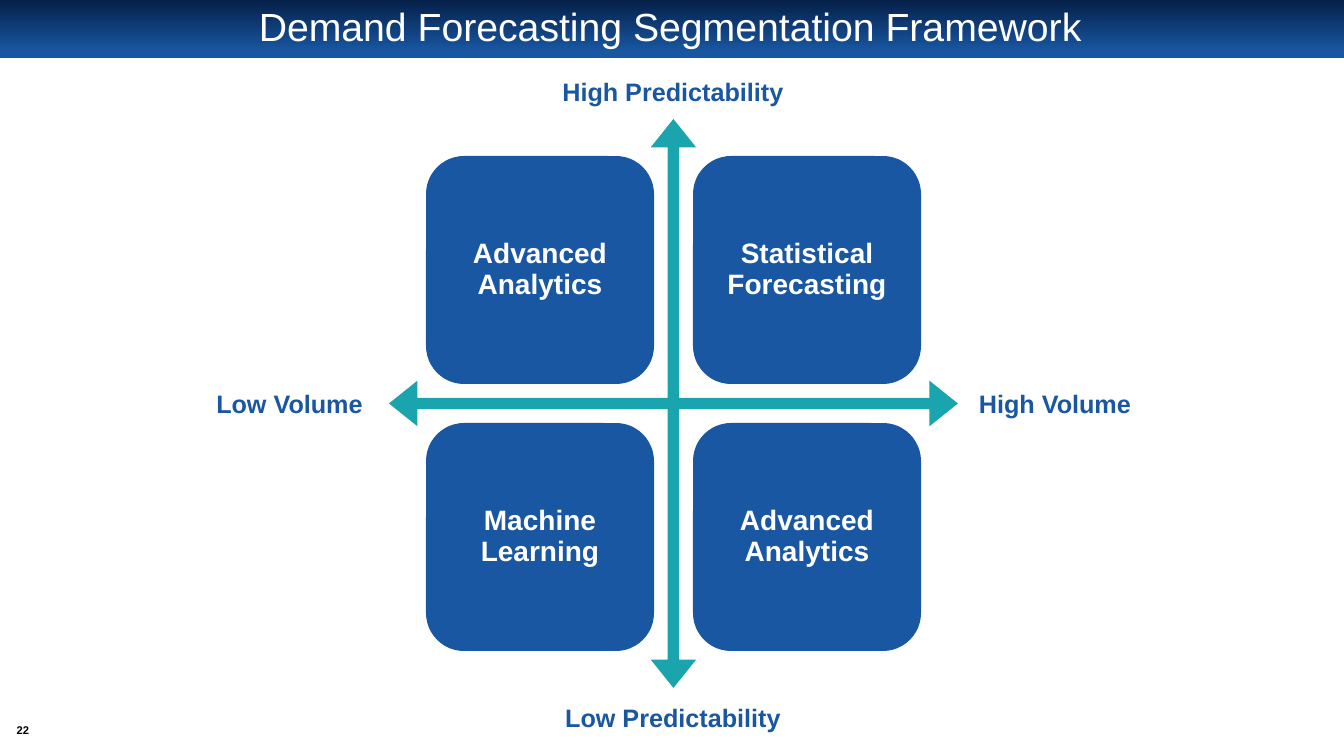
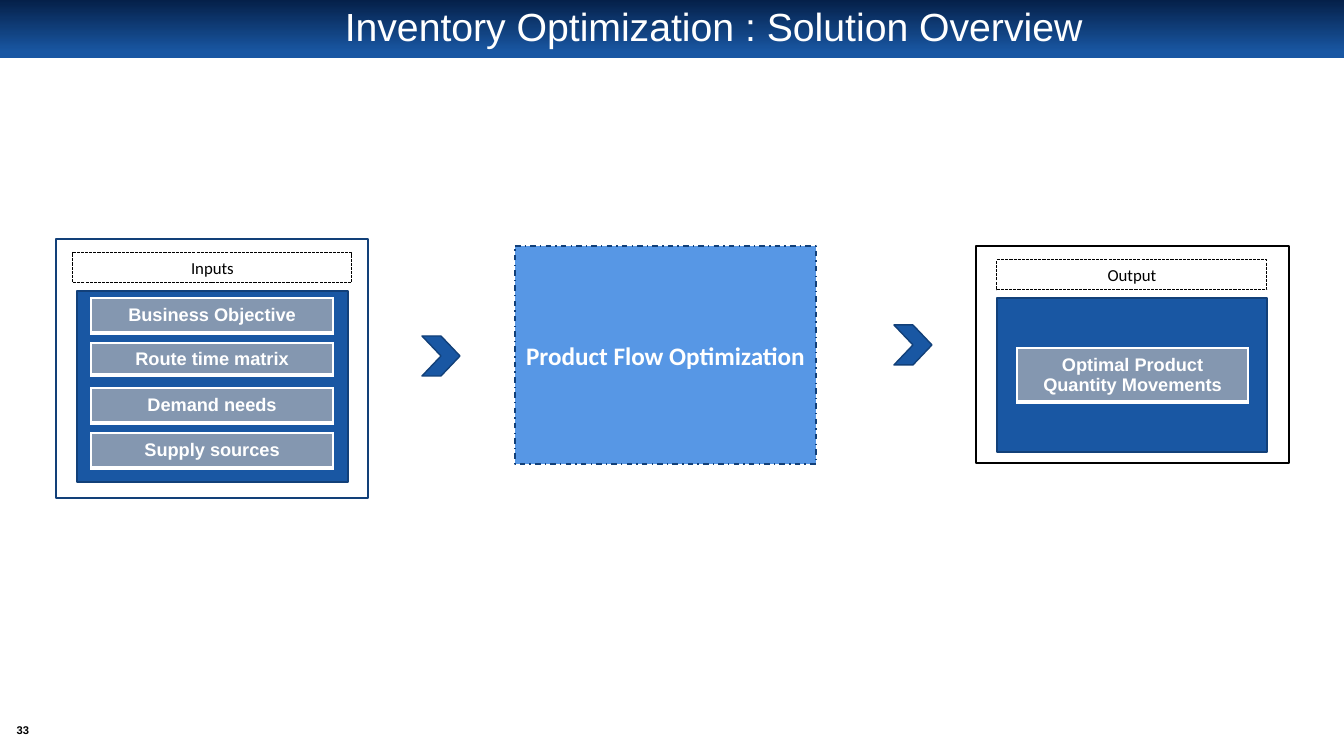
from lxml import etree
from pptx import Presentation, util as u
from pptx.dml.color import RGBColor
from pptx.enum import dml, shapes, text
from pptx.oxml import ns

SLIDE_WIDTH, SLIDE_HEIGHT = 1344, 756
PX_PER_INCH = 100.8
NAVY, BLUE, SKY, EDGE = "052049", "1957A3", "5797E5", "124079"
TEAL, GREY, WHITE, BLACK = "1AA4AD", "8497B0", "FFFFFF", "000000"
SHAPE, DASH = shapes.MSO_SHAPE, dml.MSO_LINE
MIDDLE, TOP = text.MSO_ANCHOR.MIDDLE, text.MSO_ANCHOR.TOP

TITLE_STYLE = {"size": 28, "color": WHITE, "spacing": 0.9}
NUMBER_STYLE = {"size": 8, "color": BLACK, "bold": True, "inset": 0, "wrap": False}
SEGMENT_STYLE = {"size": 20, "color": WHITE, "bold": True, "spacing": 0.9, "inset": 8}
AXIS_STYLE = {"size": 18, "color": BLUE, "bold": True, "wrap": False}
STEP_STYLE = {"size": 18, "color": WHITE, "bold": True, "font": "Calibri"}
HEADING_STYLE = {"size": 12, "color": BLACK, "font": "Calibri", "anchor": TOP}
ITEM_STYLE = {"size": 13, "color": WHITE, "bold": True}

SEGMENTS = [
    ["Advanced Analytics", "Statistical Forecasting"],
    ["Machine Learning", "Advanced Analytics"],
]
SEGMENT_LEFT, SEGMENT_TOP, SEGMENT_SIZE, SEGMENT_PITCH = 426, 156, 228, 267
AXIS_ARROWS = (389, 119, 569, 569)
AXIS_LABELS = [
    ("High Volume", (968, 383, 174, 40)),
    ("Low Volume", (205, 383, 169, 40)),
    ("Low Predictability", (554, 697, 238, 40)),
    ("High Predictability", (551, 71, 244, 40)),
]

STEP = ("Product Flow Optimization", (515, 246, 301, 218))
CHEVRONS = [(422, 336, 38, 40), (894, 325, 38, 40)]
PANELS = [
    {
        "heading": "Inputs", "heading_box": (73, 253, 279, 30),
        "frame": (56, 239, 312, 259), "edge": EDGE, "body": (77, 291, 271, 191),
        "items": [("Business Objective", 35), ("Route time matrix", 32),
                  ("Demand needs", 35), ("Supply sources", 35)],
        "item_left": 91, "item_top": 298, "item_width": 242,
    },
    {
        "heading": "Output", "heading_box": (997, 260, 270, 30),
        "frame": (976, 246, 313, 217), "edge": BLACK, "body": (997, 298, 270, 154),
        "items": [("Optimal Product Quantity Movements", 53)],
        "item_left": 1017, "item_top": 348, "item_width": 231,
    },
]
ITEM_PITCH = 45
ITEM_BORDERS = [("lnL", 1), ("lnR", 1), ("lnT", 1), ("lnB", 3)]


def px(length):
    return u.Emu(round(length * 914400 / PX_PER_INCH))


def place(box):
    return [px(length) for length in box]


def rgb(color):
    return RGBColor.from_string(color)


def write(frame, words, size, color, bold=False, font="Arial", spacing=1.0):
    """Put one centred paragraph into a text frame."""
    paragraph = frame.paragraphs[0]
    paragraph.alignment = text.PP_ALIGN.CENTER
    paragraph.line_spacing = spacing
    run = paragraph.add_run()
    run.text = words
    for name, value in {"name": font, "size": u.Pt(size), "bold": bold}.items():
        setattr(run.font, name, value)
    run.font.color.rgb = rgb(color)


def fill_frame(frame, words, anchor=MIDDLE, inset=None, wrap=True, **style):
    """Set up the frame of a shape or text box, then write in it."""
    layout = {"word_wrap": wrap, "vertical_anchor": anchor}
    if inset is not None:
        for side in ("left", "top", "right", "bottom"):
            layout["margin_" + side] = px(inset)
    for name, value in layout.items():
        setattr(frame, name, value)
    write(frame, words, **style)


def add_label(slide, box, words, **style):
    fill_frame(slide.shapes.add_textbox(*place(box)).text_frame, words, **style)


def add_shape(slide, kind, box, fill=None, line=None, width=1, dash=None):
    shape = slide.shapes.add_shape(kind, *place(box))
    shape.shadow.inherit = False
    if fill:
        shape.fill.solid()
        shape.fill.fore_color.rgb = rgb(fill)
    else:
        shape.fill.background()
    if line:
        shape.line.color.rgb = rgb(line)
        shape.line.width = u.Pt(width)
        if dash:
            shape.line.dash_style = dash
    else:
        shape.line.fill.background()
    return shape


def add_item(slide, box, words):
    """Add a one-cell table with white borders."""
    table = slide.shapes.add_table(1, 1, *place(box)).table
    table.first_row = table.horz_banding = False
    cell = table.cell(0, 0)
    cell.fill.solid()
    cell.fill.fore_color.rgb = rgb(GREY)
    cell.vertical_anchor = MIDDLE
    write(cell.text_frame, words, **ITEM_STYLE)
    properties = cell._tc.get_or_add_tcPr()
    for index, (tag, width) in enumerate(ITEM_BORDERS):
        border = etree.Element(ns.qn("a:" + tag), w=str(u.Pt(width)))
        solid = etree.SubElement(border, ns.qn("a:solidFill"))
        etree.SubElement(solid, ns.qn("a:srgbClr"), val=WHITE)
        properties.insert(index, border)


def add_slide(presentation, title, title_box, number):
    """Add a slide with the title band and the page number."""
    slide = presentation.slides.add_slide(presentation.slide_layouts[6])
    band = add_shape(slide, SHAPE.RECTANGLE, (0, 0, SLIDE_WIDTH, 58), BLUE)
    band.fill.gradient()
    band.fill.gradient_angle = 270
    stops = [(NAVY, 0), (BLUE, 0.9)]
    for stop, (color, position) in zip(band.fill.gradient_stops, stops):
        stop.color.rgb = rgb(color)
        stop.position = position
    add_label(slide, title_box, title, **TITLE_STYLE)
    add_label(slide, (8, 720, 30, 19), number, **NUMBER_STYLE)
    return slide


def build_segmentation(presentation):
    slide = add_slide(presentation, "Demand Forecasting Segmentation Framework",
                      (67, 6, 1206, 45), "22")
    arrows = add_shape(slide, SHAPE.QUAD_ARROW, AXIS_ARROWS, TEAL)
    for index, value in enumerate((0.02, 0.04, 0.05)):
        arrows.adjustments[index] = value
    for row, names in enumerate(SEGMENTS):
        for column, name in enumerate(names):
            box = (SEGMENT_LEFT + column * SEGMENT_PITCH,
                   SEGMENT_TOP + row * SEGMENT_PITCH, SEGMENT_SIZE, SEGMENT_SIZE)
            segment = add_shape(slide, SHAPE.ROUNDED_RECTANGLE, box, BLUE)
            fill_frame(segment.text_frame, name, **SEGMENT_STYLE)
    for label, box in AXIS_LABELS:
        add_label(slide, box, label, **AXIS_STYLE)


def add_panel(slide, panel):
    """Add a framed panel with a heading and its stacked items."""
    add_shape(slide, SHAPE.RECTANGLE, panel["frame"], WHITE, panel["edge"])
    add_shape(slide, SHAPE.RECTANGLE, panel["body"], BLUE, EDGE)
    heading = add_shape(slide, SHAPE.RECTANGLE, panel["heading_box"],
                        line=BLACK, width=0.75, dash=DASH.SQUARE_DOT)
    fill_frame(heading.text_frame, panel["heading"], **HEADING_STYLE)
    for index, (name, height) in enumerate(panel["items"]):
        top = panel["item_top"] + index * ITEM_PITCH
        add_item(slide, (panel["item_left"], top, panel["item_width"], height), name)


def build_overview(presentation):
    slide = add_slide(presentation, "Inventory Optimization : Solution Overview",
                      (190, 9, 1047, 39), "33")
    name, box = STEP
    step = add_shape(slide, SHAPE.FLOWCHART_PROCESS, box, SKY, EDGE, dash=DASH.DASH_DOT)
    fill_frame(step.text_frame, name, **STEP_STYLE)
    for box in CHEVRONS:
        add_shape(slide, SHAPE.CHEVRON, box, BLUE, EDGE)
    for panel in PANELS:
        add_panel(slide, panel)


def main():
    presentation = Presentation()
    presentation.slide_width = px(SLIDE_WIDTH)
    presentation.slide_height = px(SLIDE_HEIGHT)
    build_segmentation(presentation)
    build_overview(presentation)
    presentation.save("out.pptx")


if __name__ == "__main__":
    main()
